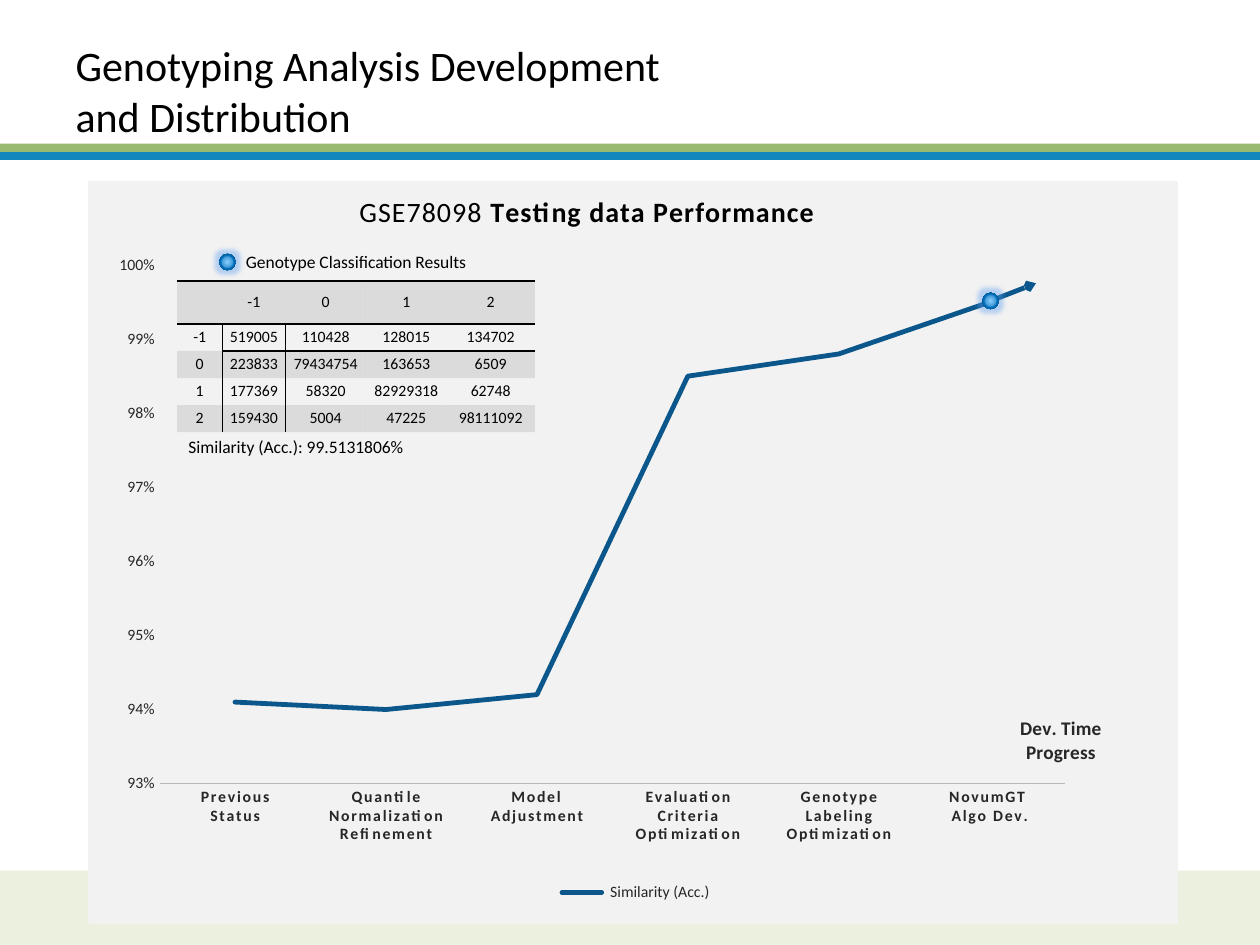
from collections import namedtuple

from lxml import etree
from pptx import Presentation
from pptx import util as u
from pptx.chart.data import CategoryChartData
from pptx.dml.color import RGBColor
from pptx.enum import chart as charts, shapes, text
from pptx.oxml import parse_xml
from pptx.oxml.ns import nsdecls, qn

COLORS = {
    "ink": "000000", "label": "262626", "navy": "0B578C", "blue": "1187BE",
    "green": "97B970", "mint": "EBF1DE", "panel": "F2F2F2", "axis": "B9B9B9",
    "shade": "808080", "glow": "5B9BF0",
}
DOT_STOPS = ((0, "8CD0FE"), (43, "469FDC"), (56, "016FBA"), (100, "014E82"))
FONT = "Calibri"
COLUMNS, ROWS = 100, 75
NO_STYLE = "{2D5ABB26-0587-4C30-8999-92F81FD0307C}"
ACCURACY = (
    ("Previous\nStatus", 0.941),
    ("Quantile\nNormalization\nRefinement", 0.94),
    ("Model Adjustment", 0.942),
    ("Evaluation\nCriteria\nOptimization", 0.985),
    ("Genotype\nLabeling\nOptimization", 0.988),
    ("NovumGT \nAlgo Dev.", 0.995),
)
CONFUSION = (
    ("", "-1", "0", "1", "2"),
    ("-1", "519005", "110428", "128015", "134702"),
    ("0", "223833", "79434754", "163653", "6509"),
    ("1", "177369", "58320", "82929318", "62748"),
    ("2", "159430", "5004", "47225", "98111092"),
)
Box = namedtuple("Box", "left top width height")


def grid(steps):
    return u.Inches(steps * 10 / COLUMNS)


def rgb(name):
    return RGBColor.from_string(COLORS[name])


def style(font, size, color="ink", bold=False):
    font.name, font.size, font.bold = FONT, u.Pt(size), bold
    font.color.rgb = rgb(color)


def write(para, content, size=9, color="ink", bold=False, spacing=None, align=None):
    for number, line in enumerate(content.split("\n")):
        if number:
            para.add_line_break()
        span = para.add_run()
        span.text = line
        style(span.font, size, color, bold)
        if spacing:
            span._r.get_or_add_rPr().set("spc", str(spacing))
    if align is not None:
        para.alignment = align


def draw_band(page, box, color):
    band = page.shapes.add_shape(shapes.MSO_SHAPE.RECTANGLE, *map(grid, box))
    band.shadow.inherit = False
    band.fill.solid()
    band.fill.fore_color.rgb = rgb(color)
    band.line.fill.background()


def draw_title(page, box):
    title = page.shapes.title
    title.left, title.top, title.width, title.height = map(grid, box)
    title.text_frame.vertical_anchor = text.MSO_ANCHOR.MIDDLE
    write(title.text_frame.paragraphs[0], "Genotyping Analysis Development\nand Distribution",
          size=24, align=text.PP_ALIGN.LEFT)


def draw_dot(page, column, row, size=1.3):
    dot = page.shapes.add_shape(shapes.MSO_SHAPE.OVAL, grid(column - size / 2),
                                grid(row - size / 2), grid(size), grid(size))
    dot.shadow.inherit = False
    dot.line.fill.background()
    stops = "".join(f'<a:gs pos="{place * 1000}"><a:srgbClr val="{color}"/></a:gs>'
                    for place, color in DOT_STOPS)
    properties = dot._element.spPr
    properties.find(qn("a:prstGeom")).addnext(parse_xml(
        f'<a:gradFill {nsdecls("a")}><a:gsLst>{stops}</a:gsLst><a:path path="circle">'
        '<a:fillToRect l="50000" t="50000" r="50000" b="50000"/></a:path></a:gradFill>'))
    properties.find(qn("a:effectLst")).append(parse_xml(
        f'<a:glow {nsdecls("a")} rad="63500"><a:srgbClr val="{COLORS["glow"]}">'
        '<a:alpha val="40000"/></a:srgbClr></a:glow>'))


def draw_arrow(page, start, end):
    arrow = page.shapes.add_connector(shapes.MSO_CONNECTOR.STRAIGHT, *map(grid, start + end))
    arrow.line.color.rgb = rgb("navy")
    arrow.line.width = u.Pt(2.75)
    etree.SubElement(arrow.line._get_or_add_ln(), qn("a:tailEnd"),
                     type="arrow", w="sm", len="sm")
    etree.SubElement(arrow._element.spPr, qn("a:effectLst"))


def place(element, index, target=None, **shares):
    for old in element.findall(qn("c:layout")):
        element.remove(old)
    inner = f'<c:layoutTarget val="{target}"/>' if target else ""
    inner += '<c:xMode val="edge"/><c:yMode val="edge"/>'
    inner += "".join(f'<c:{name} val="{share}"/>' for name, share in shares.items())
    element.insert(index, parse_xml(
        f'<c:layout {nsdecls("c")}><c:manualLayout>{inner}</c:manualLayout></c:layout>'))


def format_axes(chart):
    across, up = chart.category_axis, chart.value_axis
    for axis, bold in ((across, True), (up, False)):
        axis.has_major_gridlines = False
        axis.major_tick_mark = axis.minor_tick_mark = charts.XL_TICK_MARK.NONE
        style(axis.tick_labels.font, 9, "label", bold)
    across._element.xpath("c:txPr//a:defRPr")[0].set("spc", "100")
    across.format.line.color.rgb = rgb("axis")
    across.format.line.width = u.Pt(1)
    up.format.line.fill.background()
    up.minimum_scale, up.maximum_scale, up.major_unit = 0.93, 1, 0.01
    up.tick_labels.number_format = "0%"
    up.tick_labels.number_format_is_linked = False
    frame = across.axis_title.text_frame
    write(frame.paragraphs[0], "Dev. Time", size=11, color="label", bold=True)
    write(frame.add_paragraph(), "Progress", size=11, color="label", bold=True)
    place(across.axis_title._element, 1, x=0.852, y=0.714)


def draw_chart(page, box):
    data = CategoryChartData(number_format="0%")
    data.categories = [name for name, share in ACCURACY]
    data.add_series(" Similarity (Acc.)", [share for name, share in ACCURACY])
    chart = page.shapes.add_chart(charts.XL_CHART_TYPE.LINE, *map(grid, box), data).chart
    style(chart.font, 10)
    format_axes(chart)

    heading = chart.chart_title.text_frame.paragraphs[0]
    write(heading, "GSE78098 ", size=16, spacing=75)
    write(heading, "Testing data Performance", size=16, bold=True, spacing=75)
    place(chart.chart_title._element, 1, x=0.245, y=0.01)

    chart.has_legend = True
    chart.legend.position = charts.XL_LEGEND_POSITION.BOTTOM
    chart.legend.include_in_layout = False
    style(chart.legend.font, 9, "label")
    place(chart.legend._element, 1, x=0.43, y=0.94)

    plot = chart.plots[0]
    plot.vary_by_categories = False
    series = plot.series[0]
    series.smooth = False
    series.marker.style = charts.XL_MARKER_STYLE.NONE
    series.format.line.color.rgb = rgb("navy")
    series.format.line.width = u.Pt(2.75)
    series.format.line._get_or_add_ln().set("cap", "rnd")

    space = chart._chartSpace
    place(space.chart.plotArea, 0, "inner", x=0.065, y=0.112, w=0.832, h=0.7)
    panel = COLORS["panel"]
    space.chart.addnext(parse_xml(
        f'<c:spPr {nsdecls("c", "a")}><a:solidFill><a:srgbClr val="{panel}"/></a:solidFill>'
        f'<a:ln w="9525"><a:solidFill><a:srgbClr val="{panel}"/></a:solidFill></a:ln></c:spPr>'))

    point = (box.left + 0.828 * box.width, box.top + 0.161 * box.height)
    draw_arrow(page, point, (point[0] + 3.6, point[1] - 1.4))
    draw_dot(page, *point)


def format_cell(cell, sides="", shaded=False, margins=(0.05, 0.03)):
    cell.margin_left = cell.margin_right = u.Inches(margins[0])
    cell.margin_top = cell.margin_bottom = u.Inches(margins[1])
    cell.vertical_anchor = text.MSO_ANCHOR.MIDDLE
    properties = cell._tc.get_or_add_tcPr()
    for side in (side for side in "LRTB" if side in sides):
        properties.append(parse_xml(
            f'<a:ln{side} {nsdecls("a")} w="12700"><a:solidFill>'
            f'<a:srgbClr val="{COLORS["ink"]}"/></a:solidFill></a:ln{side}>'))
    if shaded:
        cell.fill.solid()
        cell.fill.fore_color.rgb = rgb("shade")
        color = properties.find(qn("a:solidFill"))[0]
        etree.SubElement(color, qn("a:alpha"), val="20000")
    else:
        cell.fill.background()


def draw_table(page, box):
    widths = (3.6, 5, 6.4, 6.4, 7)
    heights = (2.9, 3.3) + (2.15,) * 4 + (2.9,)
    table = page.shapes.add_table(len(heights), len(widths), *map(grid, box)).table
    table.first_row = table.horz_banding = False
    table._tbl.tblPr.find(qn("a:tableStyleId")).text = NO_STYLE
    for column, width in zip(table.columns, widths):
        column.width = grid(width)
    for row, height in zip(table.rows, heights):
        row.height = grid(height)

    last = len(heights) - 1
    for column in range(len(widths)):
        format_cell(table.cell(0, column), "B", margins=(0.09, 0.04))
        format_cell(table.cell(last, column), margins=(0.09, 0.04))
    for row, values in enumerate(CONFUSION, 1):
        for column, value in enumerate(values):
            cell = table.cell(row, column)
            sides = "T" if row == 1 or (row == 2 and column) else ""
            sides += "B" if row == 1 and column else ""
            sides += ("R", "L", "", "", "")[column] if row > 1 else ""
            format_cell(cell, sides, shaded=row % 2 == 1)
            write(cell.text_frame.paragraphs[0], value, align=text.PP_ALIGN.CENTER)

    table.cell(0, 0).merge(table.cell(0, 4))
    table.cell(last, 0).merge(table.cell(last, 3))
    write(table.cell(0, 0).text_frame.paragraphs[0], "Genotype Classification Results",
          size=10, align=text.PP_ALIGN.CENTER)
    caption = table.cell(last, 0)
    caption.vertical_anchor = text.MSO_ANCHOR.TOP
    write(caption.text_frame.paragraphs[0], "Similarity (Acc.): 99.5131806%", size=10)
    draw_dot(page, box.left + 4, box.top + 1.4)


def main():
    deck = Presentation()
    deck.slide_width, deck.slide_height = grid(COLUMNS), grid(ROWS)
    page = deck.slides.add_slide(deck.slide_layouts[5])
    draw_band(page, Box(0, 69.1, COLUMNS, ROWS - 69.1), "mint")
    draw_band(page, Box(0, 12.05, COLUMNS, 0.65), "blue")
    draw_band(page, Box(0, 11.4, COLUMNS, 0.65), "green")
    draw_title(page, Box(5, 2.5, 54.1, 9.3))
    draw_chart(page, Box(7, 14.4, 86.5, 58.9))
    draw_table(page, Box(14.05, 19.4, 28.4, 17.7))
    deck.save("out.pptx")


if __name__ == "__main__":
    main()
